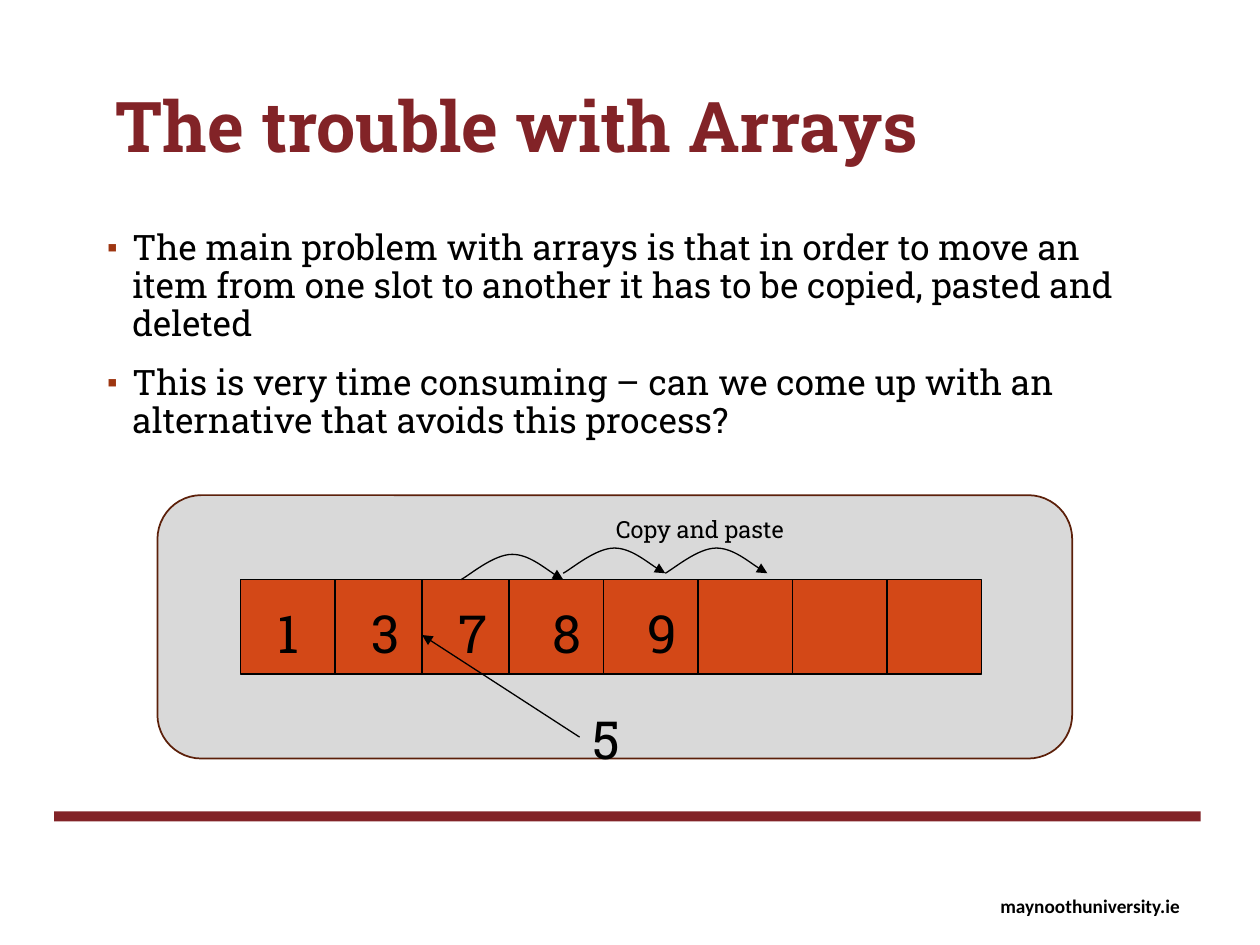
from dataclasses import dataclass

from lxml import etree
from pptx import Presentation
from pptx.dml.color import RGBColor
from pptx.enum.shapes import MSO_CONNECTOR, MSO_SHAPE
from pptx.enum.text import MSO_ANCHOR, MSO_AUTO_SIZE, PP_ALIGN
from pptx.oxml.ns import qn
from pptx.util import Inches, Pt

RECTANGLE, ROUNDED = MSO_SHAPE.RECTANGLE, MSO_SHAPE.ROUNDED_RECTANGLE
STRAIGHT, LEFT, TOP = MSO_CONNECTOR.STRAIGHT, PP_ALIGN.LEFT, MSO_ANCHOR.TOP
NO_AUTOSIZE = MSO_AUTO_SIZE.NONE
SLAB, SANS = "Roboto Slab", "Calibri"
BLACK, MAROON, ORANGE, GREY, BROWN, RUST = (
    "000000", "822327", "D34817", "D9D9D9", "5C200A", "9E3611")
WIDTH, HEIGHT = 10, 7.5
ARRAY_TOP, CELL_HEIGHT = 4.6, 0.75
CELL_EDGES = [1.91, 2.66, 3.35, 4.04, 4.79, 5.54, 6.29, 7.04, 7.79]
VALUE_OFFSETS = {"1": 0.19, "3": 0.19, "7": 0.19, "8": 0.25, "9": 0.25}
HOP_LEFT, HOP_WIDTH, HOP_HEIGHT = 3.66, 0.81, 0.2
HOP_TOPS = [4.4, 4.35, 4.35]
HOP_ARCHES = [[(0.09, 0.8), (0.32, 0), (0.5, 0)], [(0.66, 0), (0.9, 0.8), (1, 1)]]
BULLETS = [
    "The main problem with arrays is that in order to move an item from one slot "
    "to another it has to be copied, pasted and deleted",
    "This is very time consuming – can we come up with an alternative that avoids "
    "this process?",
]


@dataclass
class Box:
    """A place on the slide in inches."""
    left: float
    top: float
    width: float
    height: float

    def lengths(self) -> list:
        """Return the four lengths for python-pptx."""
        return [Inches(v) for v in (self.left, self.top, self.width, self.height)]


@dataclass
class Label:
    """A short text with its place and type."""
    text: str
    box: Box
    size: float
    font: str = SLAB
    bold: bool = False
    wrap: bool = True


def colour(value: str) -> RGBColor:
    """Turn a hex string into a colour."""
    return RGBColor.from_string(value)


def apply(target, values: dict) -> None:
    """Set every attribute named in the dict."""
    for name, value in values.items():
        setattr(target, name, value)


def format_font(font, size: float, name: str, ink: str, bold: bool = False) -> None:
    """Set the type of a paragraph."""
    apply(font, {"size": Pt(size), "name": name, "bold": bold})
    font.color.rgb = colour(ink)


def add_block(slide, kind, box: Box, fill: str, line: str = "", weight: float = 1) -> None:
    """Draw a filled preset shape, outlined if a line colour is given."""
    shape = slide.shapes.add_shape(kind, *box.lengths())
    shape.shadow.inherit = False
    shape.fill.solid()
    shape.fill.fore_color.rgb = colour(fill)
    if line:
        shape.line.color.rgb = colour(line)
        shape.line.width = Pt(weight)
    else:
        shape.line.fill.background()


def add_label(slide, label: Label) -> None:
    """Draw a text box."""
    frame = slide.shapes.add_textbox(*label.box.lengths()).text_frame
    frame.word_wrap = label.wrap
    paragraph = frame.paragraphs[0]
    paragraph.text = label.text
    format_font(paragraph.font, label.size, label.font, BLACK, label.bold)


def style_stroke(shape, arrow: bool) -> None:
    """Give a line its colour, weight and arrowhead."""
    shape.line.color.rgb = colour(BLACK)
    shape.line.width = Pt(0.75)
    if arrow:
        outline = shape._element.spPr.find(qn("a:ln"))
        etree.SubElement(outline, qn("a:tailEnd"), type="triangle")


def add_line(slide, start: tuple, end: tuple, arrow: bool = False) -> None:
    """Draw a straight connector."""
    points = [Inches(v) for v in (*start, *end)]
    line = slide.shapes.add_connector(STRAIGHT, *points)
    style_stroke(line, arrow)
    etree.SubElement(line._element.spPr, qn("a:effectLst"))


def add_hop(slide, box: Box) -> None:
    """Draw an open arch that ends in an arrowhead."""
    left, top, width, height = box.lengths()
    builder = slide.shapes.build_freeform(left, top + height)
    builder.add_line_segments(
        [(left + width // 2, top), (left + width, top + height)], close=False)
    hop = builder.convert_to_shape()
    hop.shadow.inherit = False
    hop.fill.background()
    style_stroke(hop, True)
    outline = hop._element.spPr.find(".//" + qn("a:path"))
    for segment in outline.findall(qn("a:lnTo")):
        outline.remove(segment)
    for arch in HOP_ARCHES:
        curve = etree.SubElement(outline, qn("a:cubicBezTo"))
        for x, y in arch:
            etree.SubElement(curve, qn("a:pt"), x=str(round(x * width)),
                             y=str(round(y * height)))


def add_bullet(paragraph) -> None:
    """Give a paragraph a hanging square bullet."""
    properties = paragraph._p.get_or_add_pPr()
    for name, value in {"marL": Inches(0.2), "indent": -Inches(0.2)}.items():
        properties.set(name, str(value))
    bullet_colour = etree.SubElement(properties, qn("a:buClr"))
    etree.SubElement(bullet_colour, qn("a:srgbClr"), val=RUST)
    etree.SubElement(properties, qn("a:buSzPct"), val="85000")
    etree.SubElement(properties, qn("a:buChar"), char="▪")


def fill_placeholder(shape, box: Box, texts: list, size: float, ink: str,
                     bold: bool = False, bulleted: bool = False) -> None:
    """Move a placeholder and set its paragraphs."""
    apply(shape, dict(zip(("left", "top", "width", "height"), box.lengths())))
    frame = shape.text_frame
    apply(frame, {"text": "\n".join(texts), "word_wrap": True,
                  "vertical_anchor": TOP, "auto_size": NO_AUTOSIZE})
    for index, paragraph in enumerate(frame.paragraphs):
        apply(paragraph, {"alignment": LEFT, "line_spacing": 0.9,
                          "space_before": Pt(12 if index else 0)})
        if bulleted:
            add_bullet(paragraph)
        format_font(paragraph.font, size, SLAB, ink, bold)


def add_array(slide) -> None:
    """Draw the array, its values and the hops above it."""
    first, *dividers, last = CELL_EDGES
    add_block(slide, RECTANGLE, Box(first, ARRAY_TOP, last - first, CELL_HEIGHT),
              ORANGE, BLACK, 0.75)
    for edge in dividers:
        add_line(slide, (edge, ARRAY_TOP), (edge, ARRAY_TOP + CELL_HEIGHT))
    for edge, (value, offset) in zip(CELL_EDGES, VALUE_OFFSETS.items()):
        add_label(slide, Label(value, Box(edge + offset, 4.72, 0.38, 0.61), 30))
    for index, top in enumerate(HOP_TOPS):
        add_hop(slide, Box(HOP_LEFT + index * HOP_WIDTH, top, HOP_WIDTH, HOP_HEIGHT))


def main() -> None:
    """Build and save the slide."""
    presentation = Presentation()
    apply(presentation, {"slide_width": Inches(WIDTH), "slide_height": Inches(HEIGHT)})
    slide = presentation.slides.add_slide(presentation.slide_layouts[1])
    title, body = slide.placeholders
    fill_placeholder(title, Box(0.82, 0.68, 8.27, 1.1), ["The trouble with Arrays"],
                     40, MAROON, bold=True)
    fill_placeholder(body, Box(0.75, 1.78, 8.5, 4.43), BULLETS, 20, BLACK, bulleted=True)
    add_block(slide, RECTANGLE, Box(0.43, 6.44, 9.1, 0.08), MAROON)
    add_block(slide, ROUNDED, Box(1.25, 3.93, 7.26, 2.09), GREY, BROWN)
    add_array(slide)
    add_label(slide, Label("5", Box(4.6, 5.56, 0.38, 0.61), 30))
    add_line(slide, (4.6, 5.85), (3.35, 5.04), arrow=True)
    add_label(slide, Label("Copy and paste", Box(4.79, 4.04, 1.62, 0.33), 13.5))
    add_label(slide, Label("maynoothuniversity.ie", Box(7.84, 7.05, 1.65, 0.29), 11,
                           SANS, bold=True, wrap=False))
    presentation.save("out.pptx")


if __name__ == "__main__":
    main()
